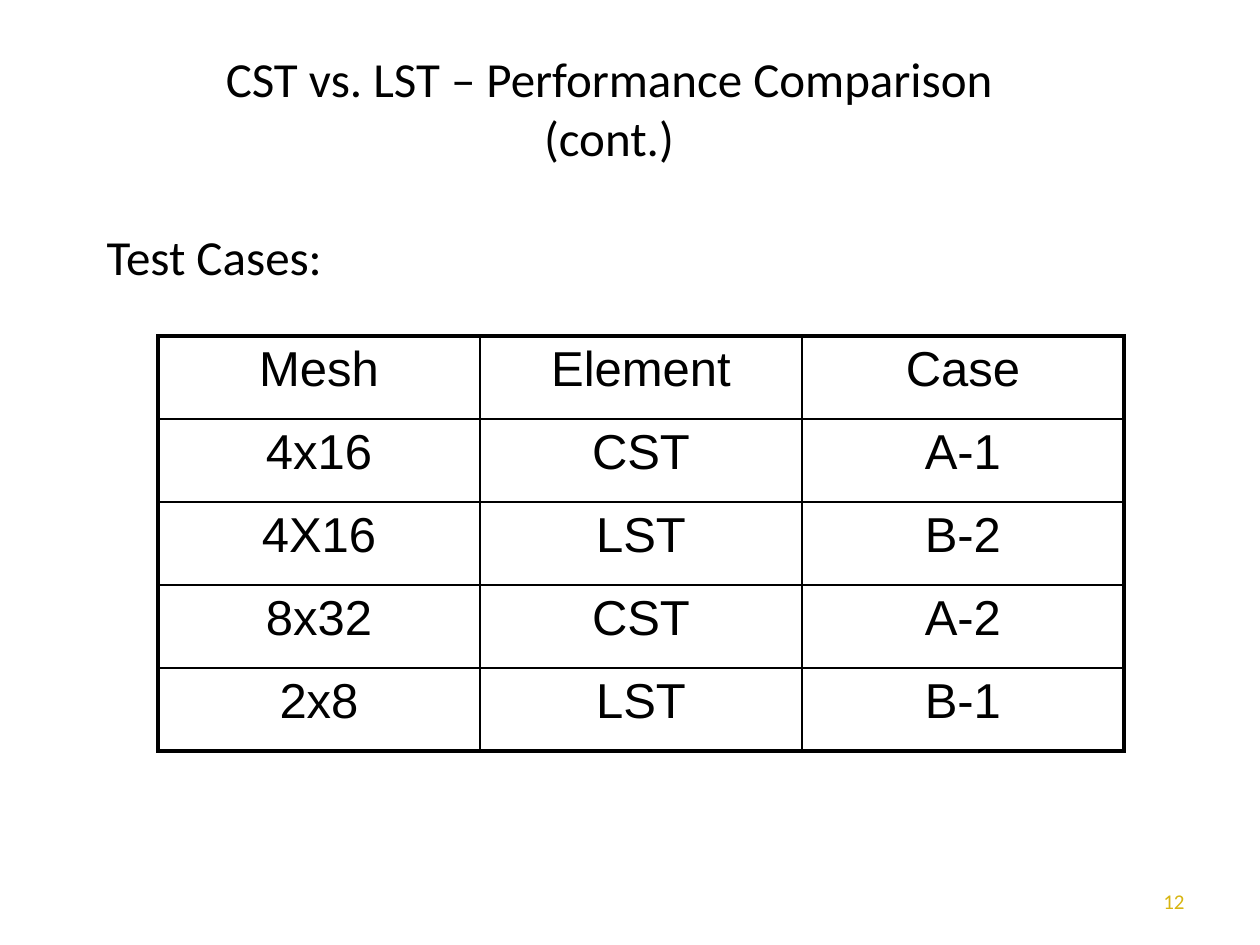
from lxml import etree
from pptx import Presentation, util as u
from pptx.dml.color import RGBColor
from pptx.enum import text
from pptx.oxml.ns import qn

# Content
TITLE = "CST vs. LST – Performance Comparison\v(cont.)"
INTRO = "Test Cases:"
CASES = [
    ("Mesh", "Element", "Case"),
    ("4x16", "CST", "A-1"),
    ("4X16", "LST", "B-2"),
    ("8x32", "CST", "A-2"),
    ("2x8", "LST", "B-1"),
]
PAGE = "12"

# Look
COLORS = {"ink": "000000", "page": "D8B511"}
PX = u.Inches(1) // 126
OUTER, INNER = u.Pt(2.25), u.Pt(1)
TITLE_BOX = (42, 42, 1134, 158)
INTRO_BOX = (94, 220, 557, 624)
PAGE_BOX = (903, 876, 294, 50)
TABLE_LEFT, TABLE_TOP, COL_WIDTH, ROW_HEIGHT = 158, 336, 322, 83
INDENT = 84


def place(shape, box):
    for name, px in zip(("left", "top", "width", "height"), box):
        setattr(shape, name, px * PX)


def write(frame, words, font="Calibri", size=28, color="ink",
          align=text.PP_ALIGN.CENTER, anchor=text.MSO_ANCHOR.TOP):
    frame.text = words
    frame.word_wrap = True
    frame.vertical_anchor = anchor
    paragraph = frame.paragraphs[0]
    paragraph.alignment = align
    for run in paragraph.runs:
        for name, value in {"name": font, "size": u.Pt(size), "bold": False}.items():
            setattr(run.font, name, value)
        run.font.color.rgb = RGBColor.from_string(COLORS[color])
    return paragraph


def add_borders(cell, widths):
    props = cell._tc.get_or_add_tcPr()
    for place_in_order, (side, width) in enumerate(widths.items()):
        line = etree.Element(qn(f"a:ln{side}"), w=str(int(width)))
        fill = etree.SubElement(line, qn("a:solidFill"))
        etree.SubElement(fill, qn("a:srgbClr"), val=COLORS["ink"])
        props.insert(place_in_order, line)


prs = Presentation()
prs.slide_width, prs.slide_height = u.Inches(10), u.Inches(7.5)
slide = prs.slides.add_slide(prs.slide_layouts[1])

# Title and introduction
title, intro = slide.placeholders
for holder, box in ((title, TITLE_BOX), (intro, INTRO_BOX)):
    place(holder, box)
    holder.text_frame.auto_size = text.MSO_AUTO_SIZE.NONE
write(title.text_frame, TITLE)
intro_line = write(intro.text_frame, INTRO, align=text.PP_ALIGN.LEFT)
intro_props = intro_line._p.get_or_add_pPr()
intro_props.set("marL", str(INDENT * PX))
intro_props.set("indent", str(-INDENT * PX))
etree.SubElement(intro_props, qn("a:buNone"))

# Table of test cases
row_count, col_count = len(CASES), len(CASES[0])
case_table = slide.shapes.add_table(
    row_count, col_count, TABLE_LEFT * PX, TABLE_TOP * PX,
    col_count * COL_WIDTH * PX, row_count * ROW_HEIGHT * PX).table
case_table.first_row = case_table.horz_banding = False
for column in case_table.columns:
    column.width = COL_WIDTH * PX
for r, case in enumerate(CASES):
    case_table.rows[r].height = ROW_HEIGHT * PX
    for c, words in enumerate(case):
        cell = case_table.cell(r, c)
        write(cell.text_frame, words, font="Arial")
        cell.fill.background()
        on_edge = {"L": c == 0, "R": c == col_count - 1,
                   "T": r == 0, "B": r == row_count - 1}
        add_borders(cell, {side: OUTER if edge else INNER
                           for side, edge in on_edge.items()})

# Page number
page = slide.shapes.add_textbox(0, 0, 0, 0)
place(page, PAGE_BOX)
write(page.text_frame, PAGE, size=12, color="page",
      align=text.PP_ALIGN.RIGHT, anchor=text.MSO_ANCHOR.MIDDLE)

prs.save("out.pptx")
